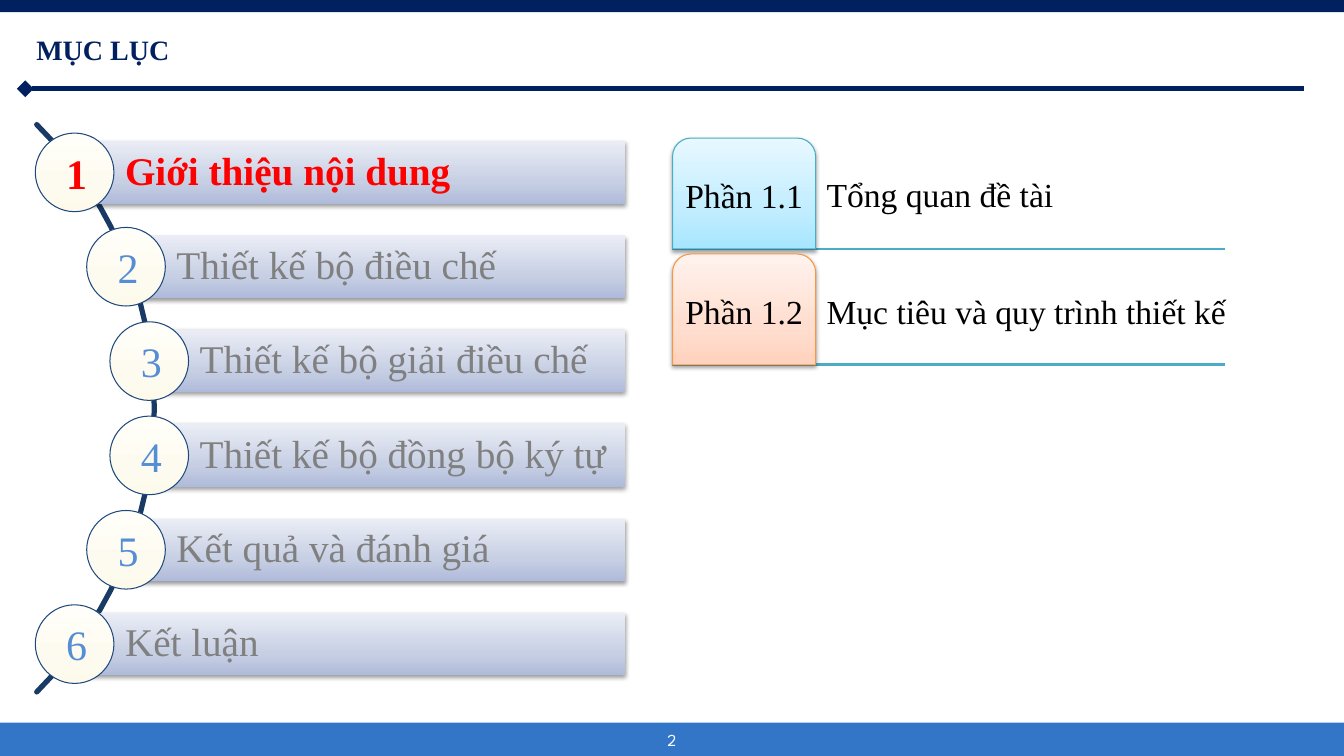
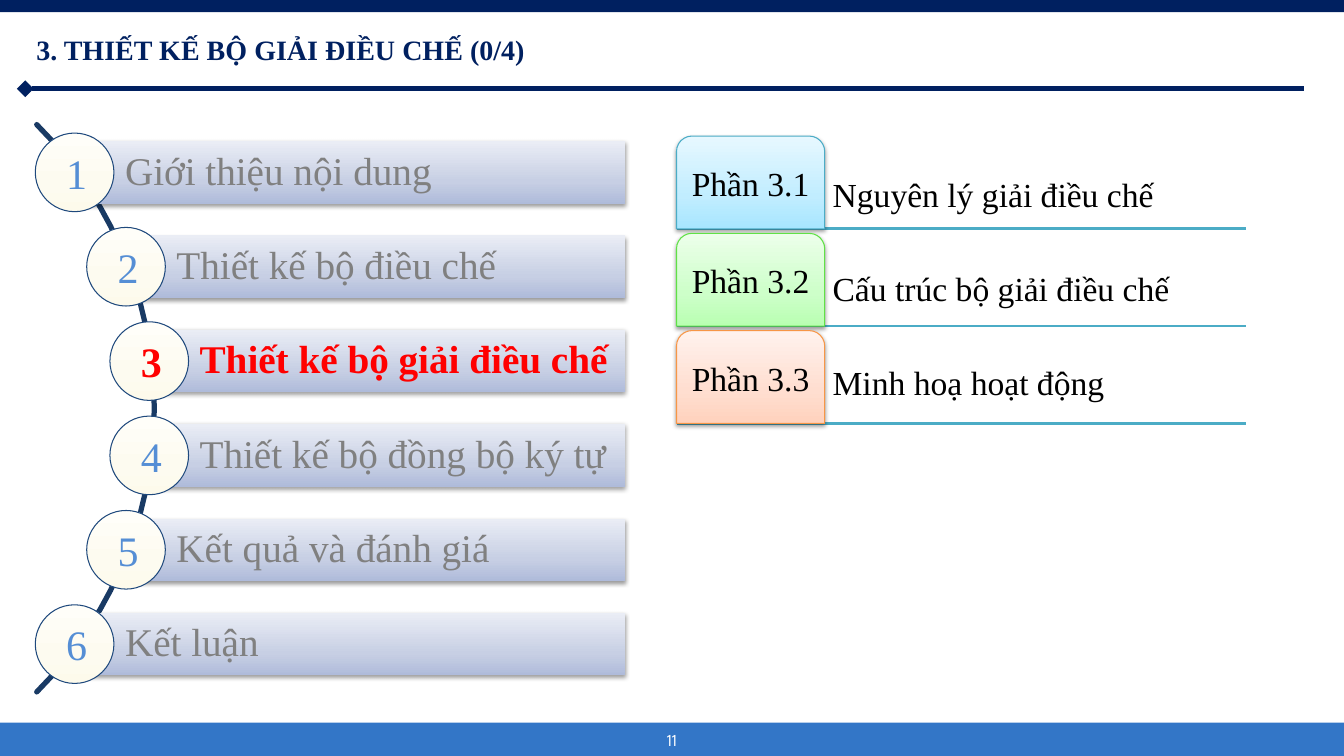
"""Builds the two agenda slides: a curved chapter list and the parts of the current chapter."""
from math import cos, radians, sin

from lxml.etree import SubElement
from pptx import Presentation
from pptx.dml.color import RGBColor
from pptx.enum.shapes import MSO_CONNECTOR, MSO_SHAPE
from pptx.enum.text import MSO_ANCHOR, MSO_AUTO_SIZE, PP_ALIGN
from pptx.oxml.ns import qn
from pptx.util import Inches, Pt

NAVY = RGBColor(0x00, 0x20, 0x60)
FOOTER_BLUE = RGBColor(0x33, 0x76, 0xC7)
ARC_BLUE = RGBColor(0x19, 0x3A, 0x64)
RING_BLUE = RGBColor(0x1F, 0x49, 0x7D)
NUMBER_BLUE = RGBColor(0x55, 0x8E, 0xD5)
TEAL = RGBColor(0x4B, 0xAC, 0xC6)
GREEN = RGBColor(0x60, 0xE1, 0x46)
ORANGE = RGBColor(0xF7, 0x96, 0x46)
RED = RGBColor(0xFF, 0x00, 0x00)
GRAY = RGBColor(0x80, 0x80, 0x80)
BLACK = RGBColor(0x00, 0x00, 0x00)
WHITE = RGBColor(0xFF, 0xFF, 0xFF)

BAR_GRADIENT = ("AFBBDA", "C7CFE4", "EAEDF5")
RING_GRADIENT = ("FDFAEB", "FDFBF0", "FFFEF9")
TEAL_TAB = (("A7E6FF", "C1EDFF", "E7F8FF"), TEAL)
GREEN_TAB = (("B9FFB2", "CDFFC9", "ECFFEA"), GREEN)
ORANGE_TAB = (("FFD2BD", "FFDED0", "FFF2ED"), ORANGE)
SERIF = "Times New Roman"

CHAPTERS = [
    ("Giới thiệu nội dung", 0.35),
    ("Thiết kế bộ điều chế", 0.86),
    ("Thiết kế bộ giải điều chế", 1.09),
    ("Thiết kế bộ đồng bộ ký tự", 1.09),
    ("Kết quả và đánh giá", 0.86),
    ("Kết luận", 0.35),
]
CHAPTER_PITCH = 4.68 / 5

SLIDES = [
    {"title": "MỤC LỤC", "page": "2", "chapter": 1,
     "left": 6.67, "right": 12.15, "top": 1.37, "tab": (1.42, 1.1), "pitch": 1.15,
     "text_left": 8.1, "text_pitch": 1.16,
     "parts": [("Tổng quan đề tài", TEAL_TAB),
               ("Mục tiêu và quy trình thiết kế", ORANGE_TAB)]},
    {"title": "3. THIẾT KẾ BỘ GIẢI ĐIỀU CHẾ (0/4)", "page": "11", "chapter": 3,
     "left": 6.71, "right": 12.36, "top": 1.35, "tab": (1.47, 0.92), "pitch": 0.965,
     "text_left": 8.16, "text_pitch": 0.93,
     "parts": [("Nguyên lý giải điều chế", TEAL_TAB),
               ("Cấu trúc bộ giải điều chế", GREEN_TAB),
               ("Minh hoạ hoạt động", ORANGE_TAB)]},
]


def paint(sp, colors, line=None, shadow=False):
    """Give a shape a three-stop vertical gradient, an outline and a soft shadow."""
    sp.fill.gradient()
    sp.fill.gradient_angle = 90
    stops = sp.element.spPr.find(".//" + qn("a:gsLst"))
    stops.clear()
    for pos, color in zip((0, 35000, 100000), colors):
        gs = SubElement(stops, qn("a:gs"), pos=str(pos))
        SubElement(gs, qn("a:srgbClr"), val=color)
    if line is None:
        sp.line.fill.background()
    else:
        sp.line.color.rgb = line
        sp.line.width = Pt(0.75)
    sp.shadow.inherit = False
    if shadow:
        effects = sp.element.spPr.find(qn("a:effectLst"))
        outer = SubElement(effects, qn("a:outerShdw"), blurRad="40000", dist="20000",
                           dir="5400000", rotWithShape="0")
        color = SubElement(outer, qn("a:srgbClr"), val="000000")
        SubElement(color, qn("a:alpha"), val="38000")


def write(sp, text, size, color, align=PP_ALIGN.LEFT, bold=False, font=SERIF,
          insets=(0.1, 0.05, 0.1, 0.05), spacing=None):
    """Set one formatted, vertically centred run in a shape."""
    tf = sp.text_frame
    tf.word_wrap = True
    tf.auto_size = MSO_AUTO_SIZE.NONE
    tf.vertical_anchor = MSO_ANCHOR.MIDDLE
    tf.margin_left, tf.margin_top, tf.margin_right, tf.margin_bottom = map(Inches, insets)
    p = tf.paragraphs[0]
    p.alignment = align
    if spacing:
        p.line_spacing = spacing
    r = p.add_run()
    r.text = text
    r.font.name = font
    r.font.size = Pt(size)
    r.font.bold = bold
    r.font.color.rgb = color


prs = Presentation()
prs.slide_width = Inches(13.33)
prs.slide_height = Inches(7.5)

for spec in SLIDES:
    s = prs.slides.add_slide(prs.slide_layouts[5])
    title = s.shapes.title
    title.left, title.top = Inches(0.26), Inches(0.13)
    title.width, title.height = Inches(10.31), Inches(0.72)
    write(title, spec["title"], 20, NAVY, bold=True)

    for top, height, color in ((0, 0.12, NAVY), (7.17, 0.33, FOOTER_BLUE)):
        band = s.shapes.add_shape(MSO_SHAPE.RECTANGLE, 0, Inches(top),
                                  prs.slide_width, Inches(height))
        band.fill.solid()
        band.fill.fore_color.rgb = color
        band.line.fill.background()
        band.shadow.inherit = False
    write(band, spec["page"], 12, WHITE, PP_ALIGN.CENTER, font="League Spartan",
          insets=(0.1, 0, 0.1, 0))

    tab_width, tab_height = spec["tab"]
    tab_tops = [spec["top"] + i * spec["pitch"] for i in range(len(spec["parts"]))]
    rules = [(0.25, 12.93, 0.88, NAVY, 4)]
    rules += [(spec["left"], spec["right"], y + tab_height, TEAL, 2) for y in tab_tops]
    for x1, x2, y, color, width in rules:
        rule = s.shapes.add_connector(MSO_CONNECTOR.STRAIGHT, Inches(x1), Inches(y),
                                      Inches(x2), Inches(y))
        rule.line.color.rgb = color
        rule.line.width = Pt(width)
        if color == NAVY:
            SubElement(rule.line._get_or_add_ln(), qn("a:headEnd"), type="diamond")
        SubElement(rule.element.spPr, qn("a:effectLst"))

    points = [(Inches(-2.45 + 3.98 * cos(radians(a))), Inches(4.05 + 3.98 * sin(radians(a))))
              for a in range(-45, 46, 3)]
    builder = s.shapes.build_freeform(*points[0])
    builder.add_line_segments(points[1:], close=False)
    arc = builder.convert_to_shape()
    arc.fill.background()
    arc.line.color.rgb = ARC_BLUE
    arc.line.width = Pt(3.75)
    arc.line._get_or_add_ln().set("cap", "rnd")
    arc.shadow.inherit = False

    for i, (name, ring_left) in enumerate(CHAPTERS):
        current = i + 1 == spec["chapter"]
        top = 1.4 + i * CHAPTER_PITCH
        bar_left = ring_left + 0.39
        bar = s.shapes.add_shape(MSO_SHAPE.RECTANGLE, Inches(bar_left), Inches(top),
                                 Inches(6.2 - bar_left), Inches(0.62))
        paint(bar, BAR_GRADIENT, shadow=True)
        write(bar, name, 28, RED if current else GRAY, bold=current,
              insets=(0.5, 0.08, 0.08, 0.08), spacing=0.9)
        ring = s.shapes.add_shape(MSO_SHAPE.OVAL, Inches(ring_left), Inches(top - 0.08),
                                  Inches(0.78), Inches(0.78))
        paint(ring, RING_GRADIENT, RING_BLUE)
        write(ring, str(i + 1), 30, RED if current else NUMBER_BLUE, PP_ALIGN.CENTER, current,
              insets=(0.04, 0, 0, 0))

    for i, (name, (gradient, outline)) in enumerate(spec["parts"]):
        tab = s.shapes.add_shape(MSO_SHAPE.ROUND_2_SAME_RECTANGLE, Inches(spec["left"]),
                                 Inches(tab_tops[i]), Inches(tab_width), Inches(tab_height))
        paint(tab, gradient, outline, shadow=True)
        write(tab, f"Phần {spec['chapter']}.{i + 1}", 24, BLACK, PP_ALIGN.CENTER,
              insets=(0, 0.07, 0, 0.05), spacing=0.9)
        label = s.shapes.add_textbox(Inches(spec["text_left"]),
                                     Inches(1.68 + i * spec["text_pitch"]),
                                     Inches(4.3), Inches(0.5))
        write(label, name, 24, BLACK)

prs.save("out.pptx")
